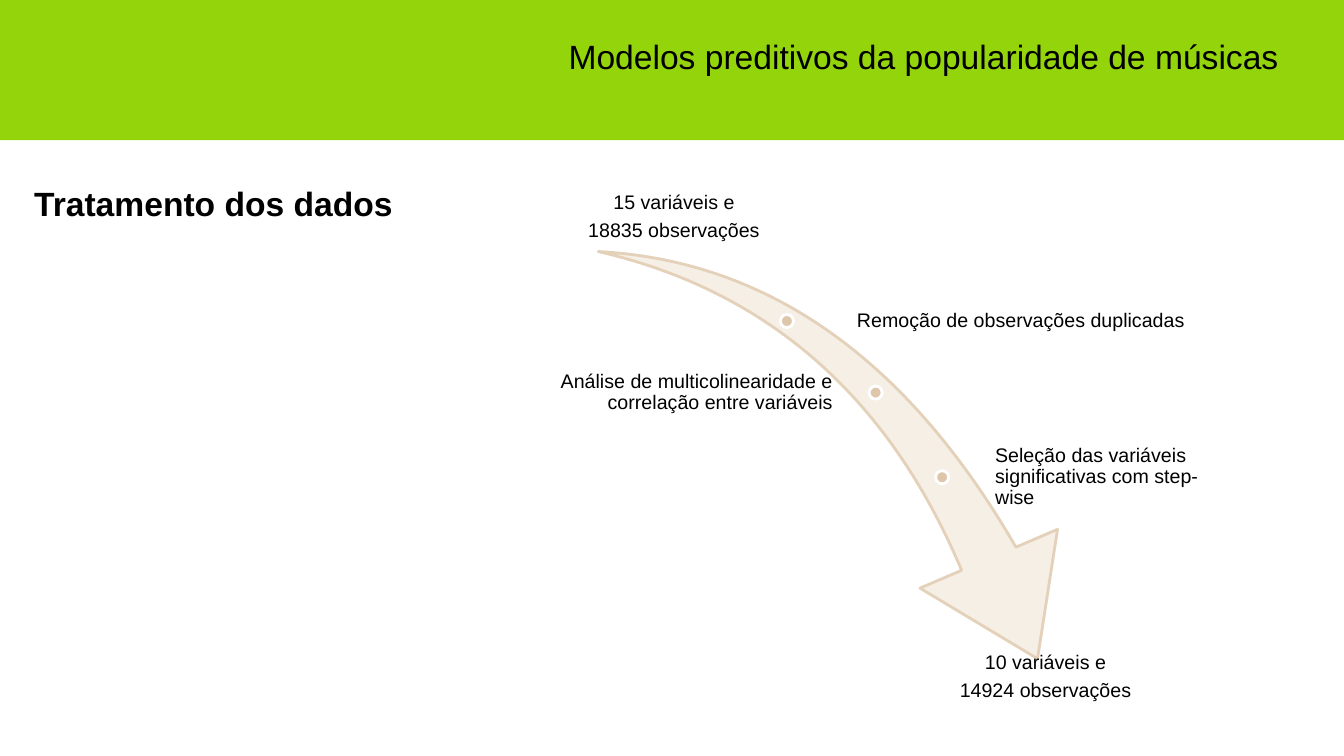
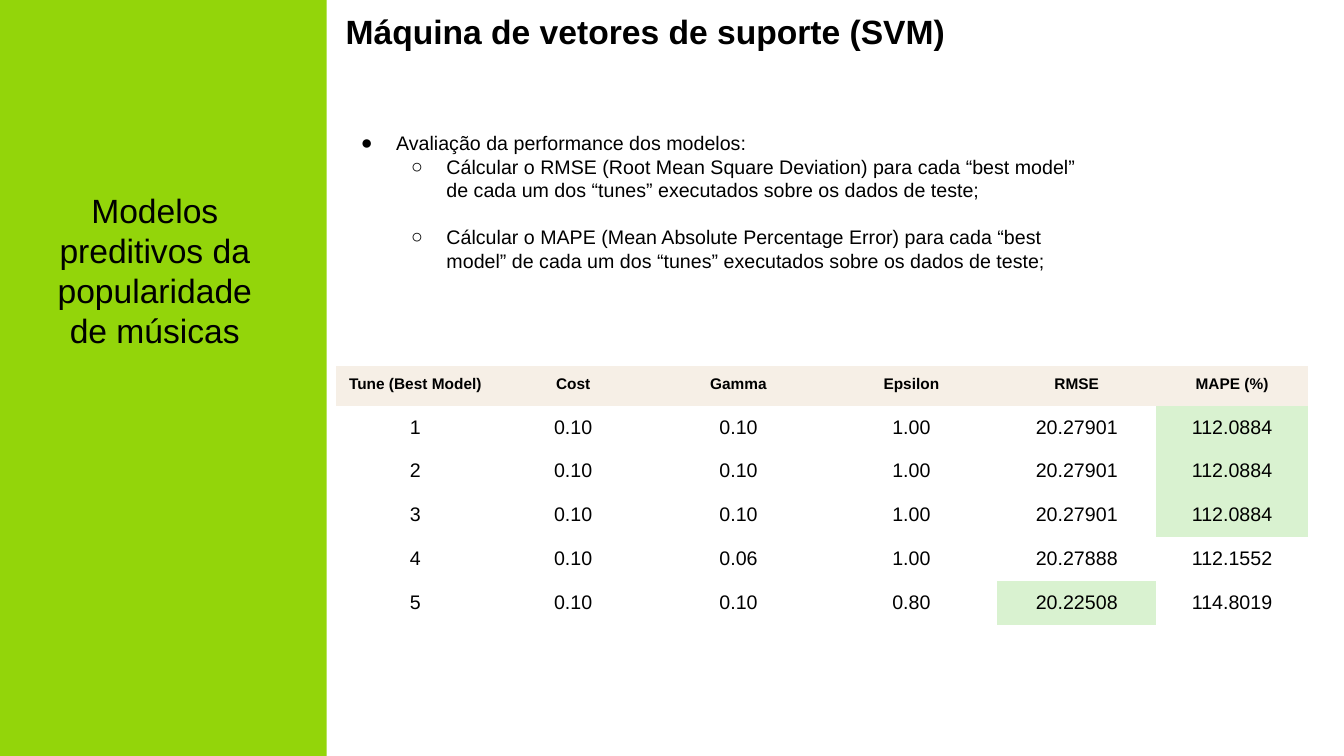
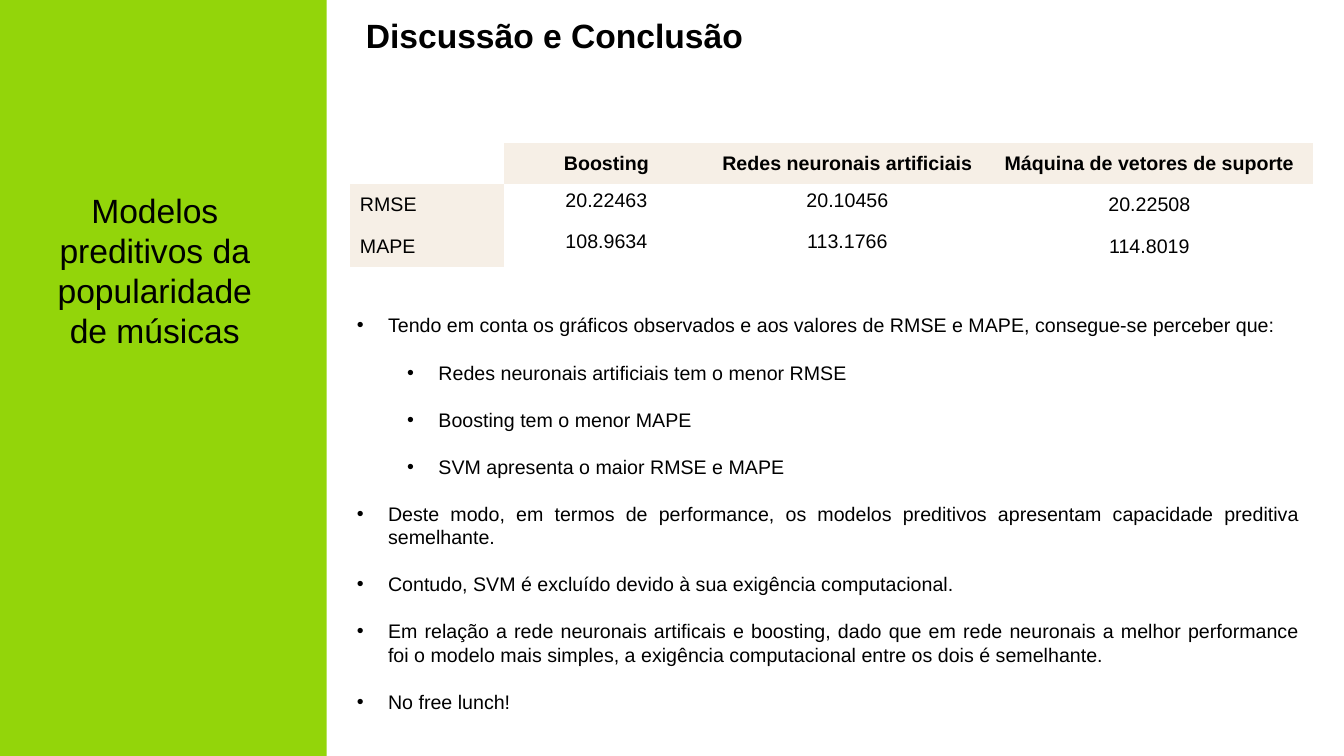
from dataclasses import dataclass, field
from typing import Any

from lxml.etree import SubElement
from pptx import Presentation
from pptx.dml.color import RGBColor
from pptx.enum.shapes import MSO_SHAPE as Preset
from pptx.enum.text import MSO_ANCHOR as Anchor, PP_ALIGN as Align
from pptx.oxml.ns import qn
from pptx.util import Inches, Pt

# Shared look
GREEN = RGBColor(0x93, 0xD5, 0x0A)
CREAM = RGBColor(0xF6, 0xEF, 0xE6)
SAND = RGBColor(0xE4, 0xD1, 0xBA)
TAN = RGBColor(0xDE, 0xC6, 0xAA)
MINT = RGBColor(0xD9, 0xF2, 0xD0)
BLACK = RGBColor(0, 0, 0)
WHITE = RGBColor(0xFF, 0xFF, 0xFF)
FONT = "Arial"
BODY_SIZE, TITLE_SIZE = 14, 24
SLIDE_W, SLIDE_H = 13.33, 7.5
SIDEBAR_W = 3.24
LINE_GAP = 16.8
NO_GRID_STYLE = "{2D5ABB26-0587-4C30-8999-92F81FD0307C}"
PROJECT = "Modelos preditivos da popularidade de músicas"

Box = tuple[float, float, float, float]


@dataclass
class Line:
    text: str
    bullet: str = ""
    indent: float = 0
    hanging: float = 0
    gap: float = 0


@dataclass
class TextStyle:
    size: float = BODY_SIZE
    bold: bool = False
    align: Align = Align.LEFT
    anchor: Anchor = Anchor.TOP
    margin_x: float = 0.1
    margin_y: float = 0.05
    spacing: float = 1.0


@dataclass
class Step:
    box: Box
    lines: list[str]
    align: Align
    anchor: Anchor


@dataclass
class Grid:
    left: float
    top: float
    widths: list[float]
    heights: list[float]
    rows: list[list[str]]
    fills: dict[tuple[int, int], RGBColor]
    header: TextStyle
    body: TextStyle
    special: dict[tuple[int, int], TextStyle] = field(default_factory=dict)


TITLE = TextStyle(TITLE_SIZE, bold=True)


# Drawing functions
def assign(target: Any, values: dict[str, Any]) -> None:
    for name, value in values.items():
        setattr(target, name, value)


def inset(target: Any, style: TextStyle) -> None:
    x, y = Inches(style.margin_x), Inches(style.margin_y)
    assign(target, {"margin_left": x, "margin_right": x, "margin_top": y,
                    "margin_bottom": y, "vertical_anchor": style.anchor})


def write(frame: Any, lines: list[Line], style: TextStyle) -> None:
    for index, line in enumerate(lines):
        paragraph = frame.add_paragraph() if index else frame.paragraphs[0]
        assign(paragraph, {"alignment": style.align, "line_spacing": style.spacing,
                           "space_after": Pt(line.gap)})
        run = paragraph.add_run()
        run.text = line.text
        assign(run.font, {"name": FONT, "size": Pt(style.size), "bold": style.bold})
        run.font.color.rgb = BLACK
        if line.bullet:
            properties = paragraph._p.get_or_add_pPr()
            properties.set("marL", str(Inches(line.indent)))
            properties.set("indent", str(-Inches(line.hanging)))
            SubElement(properties, qn("a:buFont")).set("typeface", FONT)
            SubElement(properties, qn("a:buChar")).set("char", line.bullet)


def add_text(slide: Any, box: Box, lines: list[Line], style: TextStyle) -> None:
    frame = slide.shapes.add_textbox(*map(Inches, box)).text_frame
    frame.word_wrap = True
    inset(frame, style)
    write(frame, lines, style)


def add_figure(slide: Any, preset: Preset, box: Box, fill: RGBColor,
               outline: RGBColor | None = None) -> Any:
    figure = slide.shapes.add_shape(preset, *map(Inches, box))
    figure.shadow.inherit = False
    figure.fill.solid()
    figure.fill.fore_color.rgb = fill
    if outline is None:
        figure.line.fill.background()
    else:
        figure.line.color.rgb = outline
        figure.line.width = Pt(2)
    return figure


def add_grid(slide: Any, grid: Grid) -> None:
    size = (grid.left, grid.top, sum(grid.widths), sum(grid.heights))
    table = slide.shapes.add_table(len(grid.heights), len(grid.widths),
                                   *map(Inches, size)).table
    assign(table, {"first_row": False, "horz_banding": False})
    table._tbl.tblPr.find(qn("a:tableStyleId")).text = NO_GRID_STYLE
    for column, width in zip(table.columns, grid.widths):
        column.width = Inches(width)
    for row, height in zip(table.rows, grid.heights):
        row.height = Inches(height)
    for r, values in enumerate(grid.rows):
        for c, value in enumerate(values):
            cell = table.cell(r, c)
            style = grid.special.get((r, c), grid.body if r else grid.header)
            inset(cell, style)
            if (r, c) in grid.fills:
                cell.fill.solid()
                cell.fill.fore_color.rgb = grid.fills[r, c]
            else:
                cell.fill.background()
            if value:
                write(cell.text_frame, [Line(value)], style)


def add_sidebar(slide: Any) -> None:
    add_figure(slide, Preset.RECTANGLE, (0, 0, SIDEBAR_W, SLIDE_H), GREEN)
    add_text(slide, (0.31, 1.83, 2.45, 1.72), [Line(PROJECT)],
             TextStyle(TITLE_SIZE, align=Align.CENTER))


# Slide 1: data treatment
def build_treatment(slide: Any) -> None:
    add_figure(slide, Preset.RECTANGLE, (0, 0, SLIDE_W, 1.39), GREEN)
    add_text(slide, (5.54, 0.31, 7.38, 0.5), [Line(PROJECT)], TextStyle(TITLE_SIZE))
    add_text(slide, (0.24, 1.77, 6.67, 0.5), [Line("Tratamento dos dados")], TITLE)

    swoosh = add_figure(slide, Preset.SWOOSH_ARROW, (5.82, 2.65, 5.12, 3.57), CREAM, SAND)
    swoosh.rotation = 73.3
    swoosh.adjustments[0], swoosh.adjustments[1] = 0.163, 0.314
    for left, top in ((7.74, 3.12), (8.62, 3.83), (9.28, 4.67)):
        add_figure(slide, Preset.OVAL, (left, top, 0.13, 0.13), TAN, WHITE)

    height = 0.95
    steps = [
        Step((5.48, 1.47, 2.41, height), ["15 variáveis e", "18835 observações"],
             Align.CENTER, Anchor.BOTTOM),
        Step((8.48, 2.71, 3.5, height), ["Remoção de observações duplicadas"],
             Align.LEFT, Anchor.MIDDLE),
        Step((5.48, 3.42, 2.8, height),
             ["Análise de multicolinearidade e correlação entre variáveis"],
             Align.RIGHT, Anchor.MIDDLE),
        Step((9.85, 4.26, 2.15, height),
             ["Seleção das variáveis significativas com step-wise"],
             Align.LEFT, Anchor.MIDDLE),
        Step((8.74, 6.45, 3.26, height), ["10 variáveis e", "14924 observações"],
             Align.CENTER, Anchor.TOP),
    ]
    for step in steps:
        style = TextStyle(align=step.align, anchor=step.anchor, margin_x=0.02,
                          margin_y=0.02, spacing=0.9)
        add_text(slide, step.box, [Line(text, gap=5) for text in step.lines], style)


# Slide 2: support vector machine
def build_svm(slide: Any) -> None:
    add_sidebar(slide)
    add_text(slide, (3.33, 0.06, 6.67, 0.74),
             [Line("Máquina de vetores de suporte (SVM)")], TITLE)

    rows = [
        ["Tune (Best Model)", "Cost", "Gamma", "Epsilon", "RMSE", "MAPE (%)"],
        ["1", "0.10", "0.10", "1.00", "20.27901", "112.0884"],
        ["2", "0.10", "0.10", "1.00", "20.27901", "112.0884"],
        ["3", "0.10", "0.10", "1.00", "20.27901", "112.0884"],
        ["4", "0.10", "0.06", "1.00", "20.27888", "112.1552"],
        ["5", "0.10", "0.10", "0.80", "20.22508", "114.8019"],
    ]
    fills = {(0, c): CREAM for c in range(len(rows[0]))}
    fills |= {best: MINT for best in ((1, 5), (2, 5), (3, 5), (5, 4))}
    add_grid(slide, Grid(
        3.33, 3.63, [1.58, 1.55, 1.73, 1.7, 1.58, 1.5], [0.4] + [0.43] * 5, rows, fills,
        header=TextStyle(11, bold=True, align=Align.CENTER, margin_y=0.1),
        body=TextStyle(align=Align.CENTER, margin_y=0.1)))

    add_text(slide, (3.33, 1.2, 7.59, 2.85), [
        Line("Avaliação da performance dos modelos:", "●", 0.5, 0.35),
        Line("Cálcular o RMSE (Root Mean Square Deviation) para cada “best model” "
             "de cada um dos “tunes” executados sobre os dados de teste;",
             "○", 1, 0.35, LINE_GAP),
        Line("Cálcular o MAPE (Mean Absolute Percentage Error) para cada “best model” "
             "de cada um dos “tunes” executados sobre os dados de teste;",
             "○", 1, 0.35),
    ], TextStyle(margin_y=0.1))


# Slide 3: discussion and conclusion
def build_conclusion(slide: Any) -> None:
    add_sidebar(slide)
    add_text(slide, (3.53, 0.1, 6.67, 0.74), [Line("Discussão e Conclusão")], TITLE)

    rows = [
        ["", "Boosting", "Redes neuronais artificiais", "Máquina de vetores de suporte"],
        ["RMSE", "20.22463", "20.10456", "20.22508"],
        ["MAPE", "108.9634", "113.1766", "114.8019"],
    ]
    metric = TextStyle(anchor=Anchor.MIDDLE)
    svm_value = TextStyle(align=Align.CENTER, anchor=Anchor.MIDDLE)
    add_grid(slide, Grid(
        3.47, 1.42, [1.53, 2.03, 2.75, 3.24], [0.41] * 3, rows,
        fills={key: CREAM for key in ((0, 1), (0, 2), (0, 3), (1, 0), (2, 0))},
        header=TextStyle(bold=True, align=Align.CENTER, anchor=Anchor.MIDDLE),
        body=TextStyle(align=Align.CENTER),
        special={(1, 0): metric, (2, 0): metric, (1, 3): svm_value, (2, 3): svm_value}))

    outer, inner = 0.31, 0.81
    findings = [
        (outer, "Tendo em conta os gráficos observados e aos valores de RMSE e MAPE, "
                "consegue-se perceber que:"),
        (inner, "Redes neuronais artificiais tem o menor RMSE"),
        (inner, "Boosting tem o menor MAPE"),
        (inner, "SVM apresenta o maior RMSE e MAPE"),
        (outer, "Deste modo, em termos de performance, os modelos preditivos apresentam "
                "capacidade preditiva semelhante."),
        (outer, "Contudo, SVM é excluído devido à sua exigência computacional."),
        (outer, "Em relação a rede neuronais artificais e boosting, dado que em rede "
                "neuronais a melhor performance foi o modelo mais simples, a exigência "
                "computacional entre os dois é semelhante."),
        (outer, "No free lunch!"),
    ]
    add_text(slide, (3.44, 3.06, 9.55, 4.11),
             [Line(text, "•", indent, outer, LINE_GAP) for indent, text in findings],
             TextStyle(align=Align.JUSTIFY))


def main() -> None:
    deck = Presentation()
    assign(deck, {"slide_width": Inches(SLIDE_W), "slide_height": Inches(SLIDE_H)})
    blank = deck.slide_layouts[6]
    for build in (build_treatment, build_svm, build_conclusion):
        build(deck.slides.add_slide(blank))
    deck.save("out.pptx")


if __name__ == "__main__":
    main()
